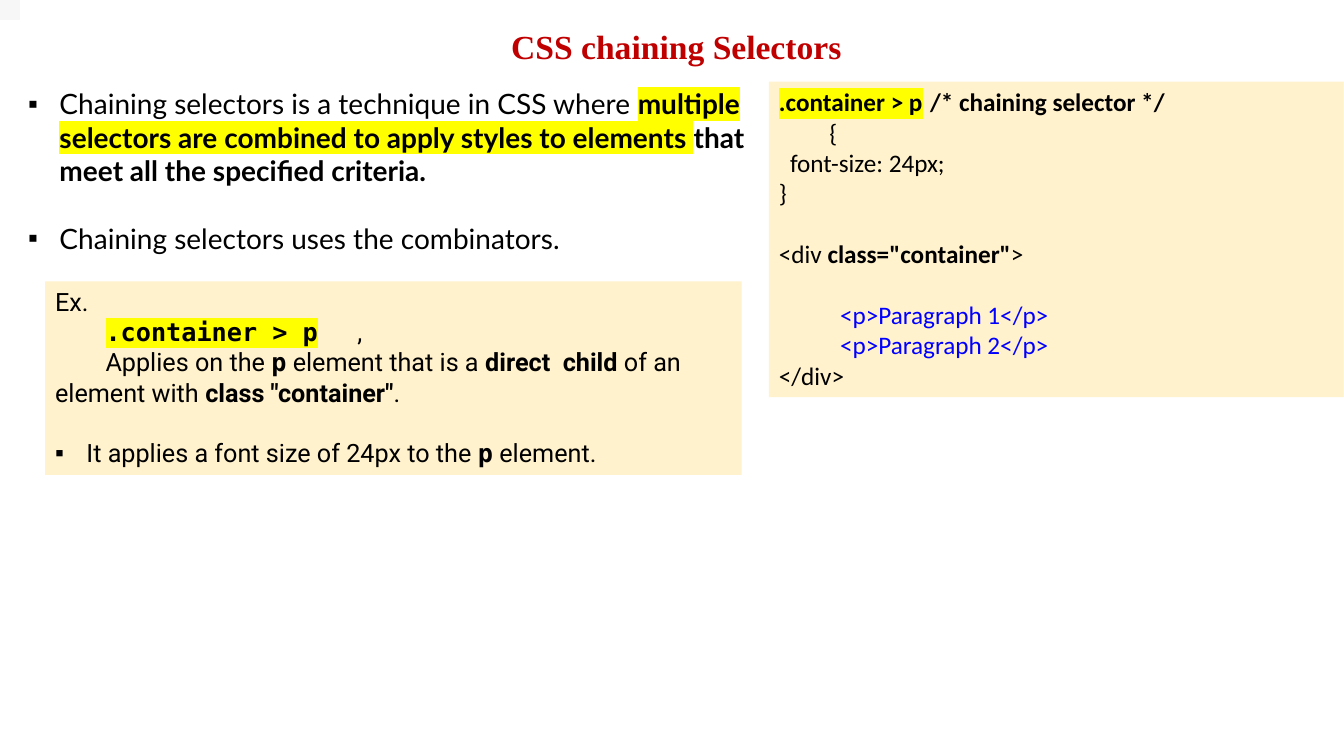
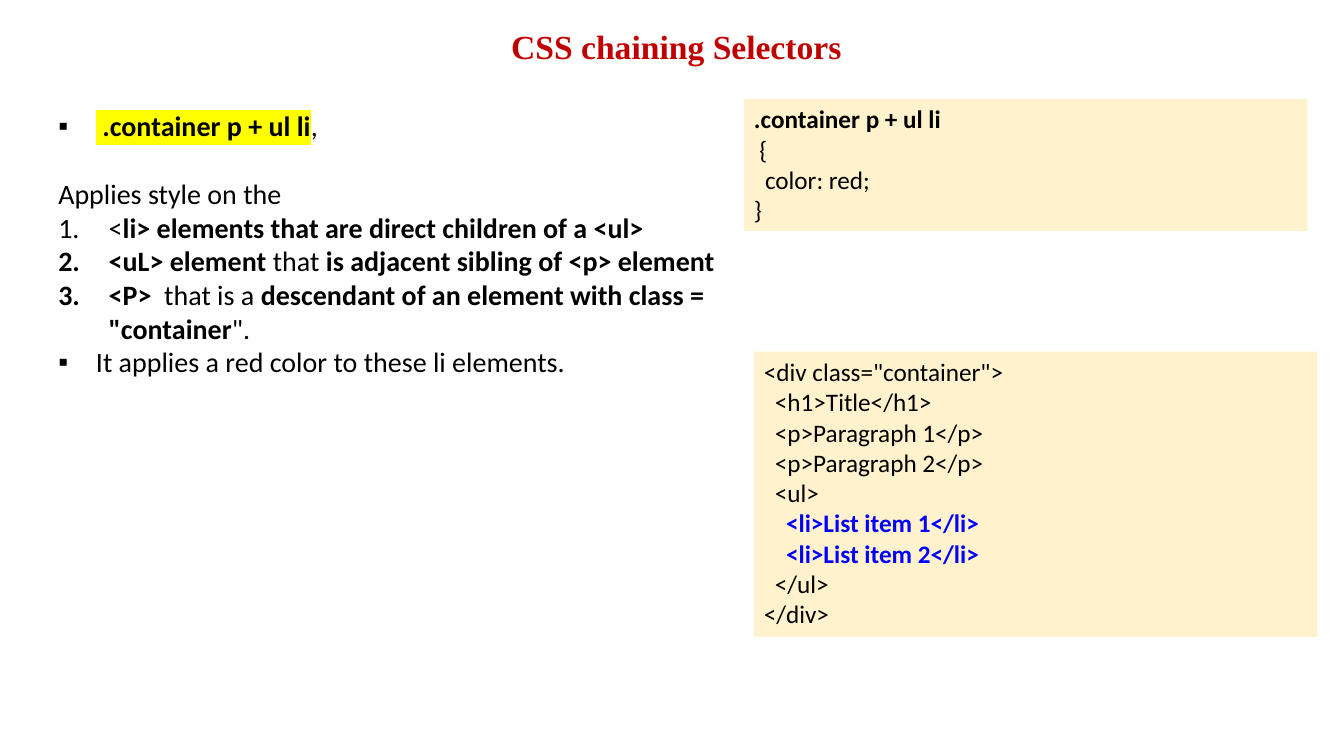
from dataclasses import dataclass

from lxml import etree
from pptx import Presentation, util as u
from pptx.dml import color
from pptx.enum import shapes, text
from pptx.oxml import ns

INK, RED, BLUE = "000000", "C00000", "0000FF"
SAND, YELLOW, GREY = "FFF2CC", "FFFF00", "F7F7F8"
TITLE_FACE, CODE_FACE, LEAD_FACE = "Times New Roman", "Calibri", "Lato"
EXAMPLE_FACE, MONO_FACE = "Roboto", "DejaVu Sans Mono"
SLIDE_SIZE = (33.87, 19.05)
TITLE_BOX = (0.89, 0.56, 32.31, 1.24)
CODE_STEP = 0.28
SQUARE, NUMBER = "▪", "1."


@dataclass
class Line:
    """One paragraph: (wording, marks) runs; b bold, h highlight, m mono, u blue."""

    runs: list
    left: float = 0
    first: float = 0
    bullet: str = ""
    before: float = 0
    tabs: tuple = ()


def rgb(value):
    """Turn a hex string into a colour."""
    return color.RGBColor.from_string(value)


def place(box):
    """Turn a box in centimetres into lengths."""
    return [u.Cm(side) for side in box]


def child(parent, tag, **attributes):
    """Append a DrawingML element."""
    element = etree.SubElement(parent, ns.qn(f"a:{tag}"))
    for key, value in attributes.items():
        element.set(key, str(value))
    return element


def apply_marks(font, marks):
    """Give a font the look its marks stand for."""
    if "b" in marks:
        font.bold = True
    if "m" in marks:
        font.name = MONO_FACE
    if "u" in marks:
        font.color.rgb = rgb(BLUE)


def set_layout(paragraph, line):
    """Set the indents, bullet, tab stops and spacing of a paragraph."""
    properties = paragraph._p.get_or_add_pPr()
    properties.set("marL", str(u.Cm(line.left)))
    properties.set("indent", str(u.Cm(line.first)))
    if line.bullet == NUMBER:
        child(properties, "buFont", typeface="+mj-lt")
        child(properties, "buAutoNum", type="arabicPeriod")
    elif line.bullet:
        child(properties, "buFont", typeface="Arial")
        child(properties, "buChar", char=line.bullet)
    if line.tabs:
        stops = child(properties, "tabLst")
        for stop in line.tabs:
            child(stops, "tab", pos=u.Cm(stop), algn="l")
    if line.before:
        paragraph.space_before = u.Pt(line.before)


def write(frame, lines, face, size, ink=INK):
    """Fill a text frame with lines."""
    frame.word_wrap = True
    frame.auto_size = text.MSO_AUTO_SIZE.SHAPE_TO_FIT_TEXT
    frame.vertical_anchor = text.MSO_ANCHOR.TOP
    for index, line in enumerate(lines):
        paragraph = frame.add_paragraph() if index else frame.paragraphs[0]
        paragraph.alignment = text.PP_ALIGN.LEFT
        set_layout(paragraph, line)
        paragraph.font.name, paragraph.font.size = face, u.Pt(size)
        paragraph.font.color.rgb = rgb(ink)
        shared = set.intersection(*(set(marks) for _, marks in line.runs))
        apply_marks(paragraph.font, shared)
        for wording, marks in line.runs:
            run = paragraph.add_run()
            run.text = wording
            if "h" in marks:
                highlight = child(run._r.get_or_add_rPr(), "highlight")
                child(highlight, "srgbClr", val=YELLOW)
            apply_marks(run.font, set(marks) - shared)


def block(slide, box, fill):
    """Draw a plain filled rectangle."""
    area = slide.shapes.add_shape(shapes.MSO_SHAPE.RECTANGLE, *place(box))
    area.shadow.inherit = False
    area.fill.solid()
    area.fill.fore_color.rgb = rgb(fill)
    area.line.fill.background()
    return area


def title(slide, box, wording):
    """Write the centred red heading."""
    frame = slide.shapes.add_textbox(*place(box)).text_frame
    frame.margin_left = frame.margin_right = u.Cm(0.23)
    frame.margin_top = frame.margin_bottom = u.Cm(0.1)
    write(frame, [Line([(wording, "b")], before=7.8)], TITLE_FACE, 24, RED)
    frame.paragraphs[0].alignment = text.PP_ALIGN.CENTER


def notes_column(slide, box, lines, face):
    """Write the explanation on the bare slide."""
    write(slide.shapes.add_textbox(*place(box)).text_frame, lines, face, 20)


def panel(slide, box, lines, face=CODE_FACE):
    """Write code or an example on a sand panel."""
    write(block(slide, box, SAND).text_frame, lines, face, 18)


def code(wording, depth=0, marks="", before=0):
    """Make one line of code, indented by its depth."""
    return Line([(wording, marks)], left=depth * CODE_STEP, before=before)


def point(runs, hang, bullet=SQUARE, before=0):
    """Make one bulleted or numbered line with a hanging indent."""
    return Line(runs, left=hang, first=-hang, bullet=bullet, before=before)


def child_selector(slide):
    """Build the slide on the direct child selector."""
    title(slide, TITLE_BOX, "CSS chaining Selectors")
    notes_column(slide, (0.46, 2.06, 19.02, 7.01), [
        point([("Chaining selectors is a technique in CSS where ", ""),
               ("multiple selectors are combined to apply styles to elements ", "bh"),
               ("that meet all the specified criteria.", "b")], 0.79),
        point([("Chaining selectors uses the combinators.", "")], 0.79, before=24),
    ], LEAD_FACE)
    panel(slide, (19.38, 2.06, 14.48, 7.95), [
        Line([(".container > p\t", "bh"), ("/* chaining selector */", "b")], tabs=(4.62,)),
        Line([("\t", "h"), ("{", "")], tabs=(CODE_STEP,)),
        code("font-size: 24px;", 1),
        code("}"),
        Line([("<div ", ""), ('class="container"', "b"), (">", "")], before=22),
        code("<p>Paragraph 1</p>", 5.5, "u", before=22),
        code("<p>Paragraph 2</p>", 5.5, "u"),
        code("</div>"),
    ])
    block(slide, (0, -0.5, 0.5, 1), GREY)
    panel(slide, (1.14, 7.09, 17.55, 4.88), [
        code("Ex."),
        Line([("\t", "h"), (".container > p\t", "bhm"), (",", "")], tabs=(0.95, 8.6)),
        Line([("Applies on the ", ""), ("p", "bm"), (" element that is a ", ""),
              ("direct  child ", "b"), ("of an element with ", ""),
              ('class "container"', "b"), (".", "")], first=1.27),
        point([("It applies a font size of 24px to the ", ""), ("p", "bm"),
               (" element.", "")], 0.79, before=21.5),
    ], EXAMPLE_FACE)


def sibling_selector(slide):
    """Build the slide on the adjacent sibling selector."""
    title(slide, TITLE_BOX, "CSS chaining Selectors")
    panel(slide, (18.75, 2.49, 14.2, 3.33), [
        code(".container p + ul li", marks="b"),
        code("{", 0.5),
        code("color: red;", 1),
        code("}"),
    ])
    panel(slide, (19, 8.86, 14.2, 7.19), [
        code('<div class="container">'),
        code("<h1>Title</h1>", 1),
        code("<p>Paragraph 1</p>", 1),
        code("<p>Paragraph 2</p>", 1),
        code("<ul>", 1),
        code("<li>List item 1</li>", 2, "bu"),
        code("<li>List item 2</li>", 2, "bu"),
        code("</ul>", 1),
        code("</div>"),
    ])
    notes_column(slide, (1.22, 2.62, 17.53, 7.95), [
        point([(" ", "h"), (".container p + ul li", "bh"), (",", "")], 0.95),
        Line([("Applies style on the", "")], before=24.4),
        point([("<", ""), ("li> elements that are direct children of a <ul>", "b")],
              1.27, NUMBER),
        point([("<uL> element ", "b"), ("that ", ""),
               ("is adjacent sibling of <p> element", "b")], 1.27, NUMBER),
        point([("<P>  ", "b"), ("that is a ", ""),
               ('descendant of an element with class = "container', "b"),
               ('".', "")], 1.27, NUMBER),
        point([("It applies a red color to these li elements.", "")], 0.95),
    ], CODE_FACE)


def main():
    """Build and save the deck."""
    deck = Presentation()
    deck.slide_width, deck.slide_height = place(SLIDE_SIZE)
    for build in (child_selector, sibling_selector):
        build(deck.slides.add_slide(deck.slide_layouts[6]))
    deck.save("out.pptx")


main()
